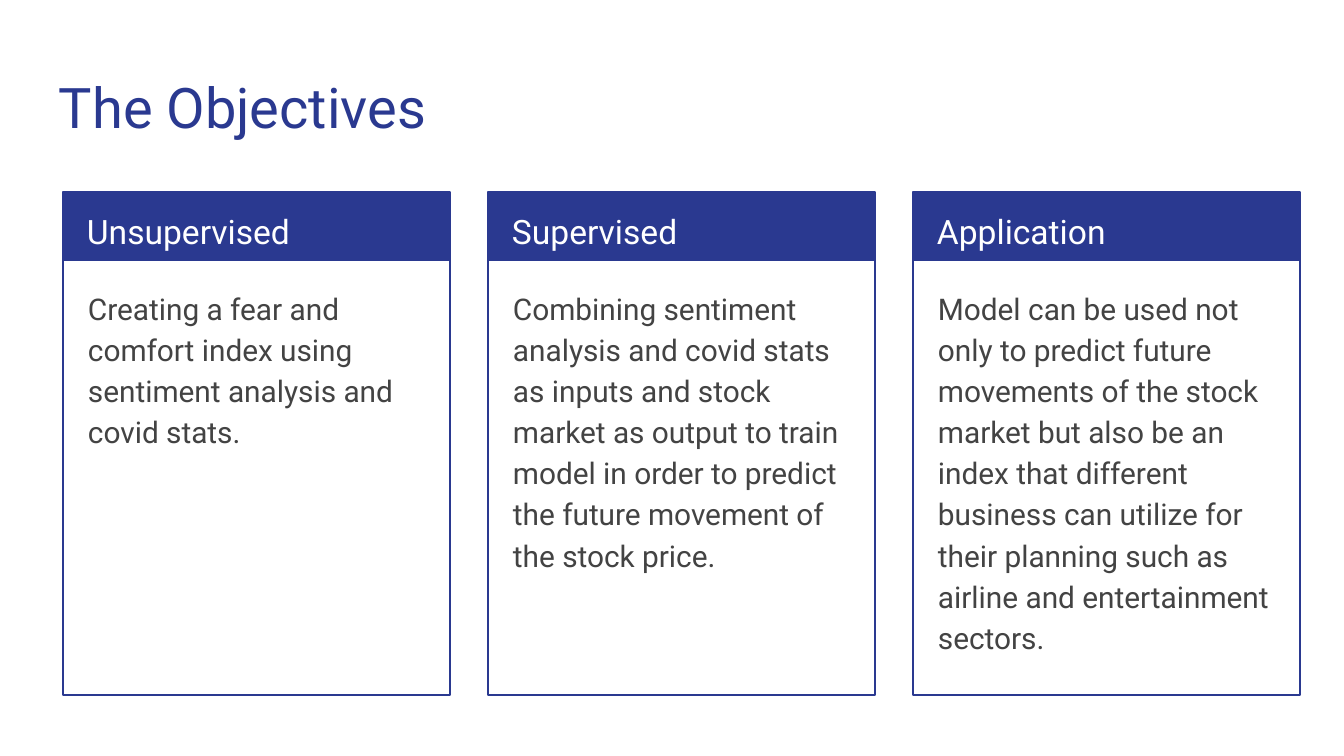
from pptx import Presentation
from pptx.dml.color import RGBColor
from pptx.enum.shapes import MSO_SHAPE
from pptx.enum.text import MSO_ANCHOR, MSO_AUTO_SIZE, PP_ALIGN
from pptx.util import Emu, Pt

TITLE = "The Objectives"
CARDS = [
    ("Unsupervised",
     "Creating a fear and comfort index using sentiment analysis and covid stats."),
    ("Supervised",
     "Combining sentiment analysis and covid stats as inputs and stock market as "
     "output to train model in order to predict the future movement of the stock price."),
    ("Application",
     "Model can be used not only to predict future movements of the stock market "
     "but also be an index that different business can utilize for their planning "
     "such as airline and entertainment sectors."),
]
BLUE, WHITE, GRAY = "2A3990", "FFFFFF", "434343"
LEFT, TOP, STEP = 63, 192, 425
WIDE, HIGH, HEAD = 387, 503, 69


def px(n):
    return Emu(round(n * 914400 / 134.4))


def color(code):
    return RGBColor.from_string(code)


def write(shape, text, size, code, spacing=1.0, after=0):
    frame = shape.text_frame
    frame.word_wrap = True
    frame.auto_size = MSO_AUTO_SIZE.NONE
    frame.vertical_anchor = MSO_ANCHOR.TOP
    frame.margin_left = frame.margin_right = px(13)
    frame.margin_top = frame.margin_bottom = px(13)
    frame.text = text
    para = frame.paragraphs[0]
    para.alignment = PP_ALIGN.LEFT
    para.line_spacing = spacing
    para.space_before = Pt(0)
    para.space_after = Pt(after)
    para.font.name = "Roboto"
    para.font.size = Pt(size)
    para.font.color.rgb = color(code)


def rect(shapes, x, y, w, h, fill=None, line=None):
    box = shapes.add_shape(MSO_SHAPE.RECTANGLE, px(x), px(y), px(w), px(h))
    box.shadow.inherit = False
    if fill:
        box.fill.solid()
        box.fill.fore_color.rgb = color(fill)
    else:
        box.fill.background()
    if line:
        box.line.color.rgb = color(line)
        box.line.width = Pt(0.75)
    else:
        box.line.fill.background()


def label(shapes, x, y, w, h, *style):
    box = shapes.add_textbox(px(x), px(y), px(w), px(h))
    write(box, *style)


def main():
    deck = Presentation()
    deck.slide_width, deck.slide_height = px(1344), px(756)
    slide = deck.slides.add_slide(deck.slide_layouts[5])
    shapes = slide.shapes
    title = shapes.title
    title.left, title.top = px(46), px(60)
    title.width, title.height = px(1253), px(89)
    write(title, TITLE, 30, BLUE)

    for i, (name, text) in enumerate(CARDS):
        x = LEFT + i * STEP
        group = shapes.add_group_shape()
        rect(group.shapes, x, TOP, WIDE, HEAD, fill=BLUE)
        rect(group.shapes, x, TOP, WIDE, HIGH, line=BLUE)
        label(shapes, x + 11, TOP, 367, 67, name, 18, WHITE, 1.15)
        label(shapes, x + 12, TOP + 80, 364, 411, text, 16, GRAY, 1.15, 16)

    deck.save("out.pptx")


if __name__ == "__main__":
    main()
